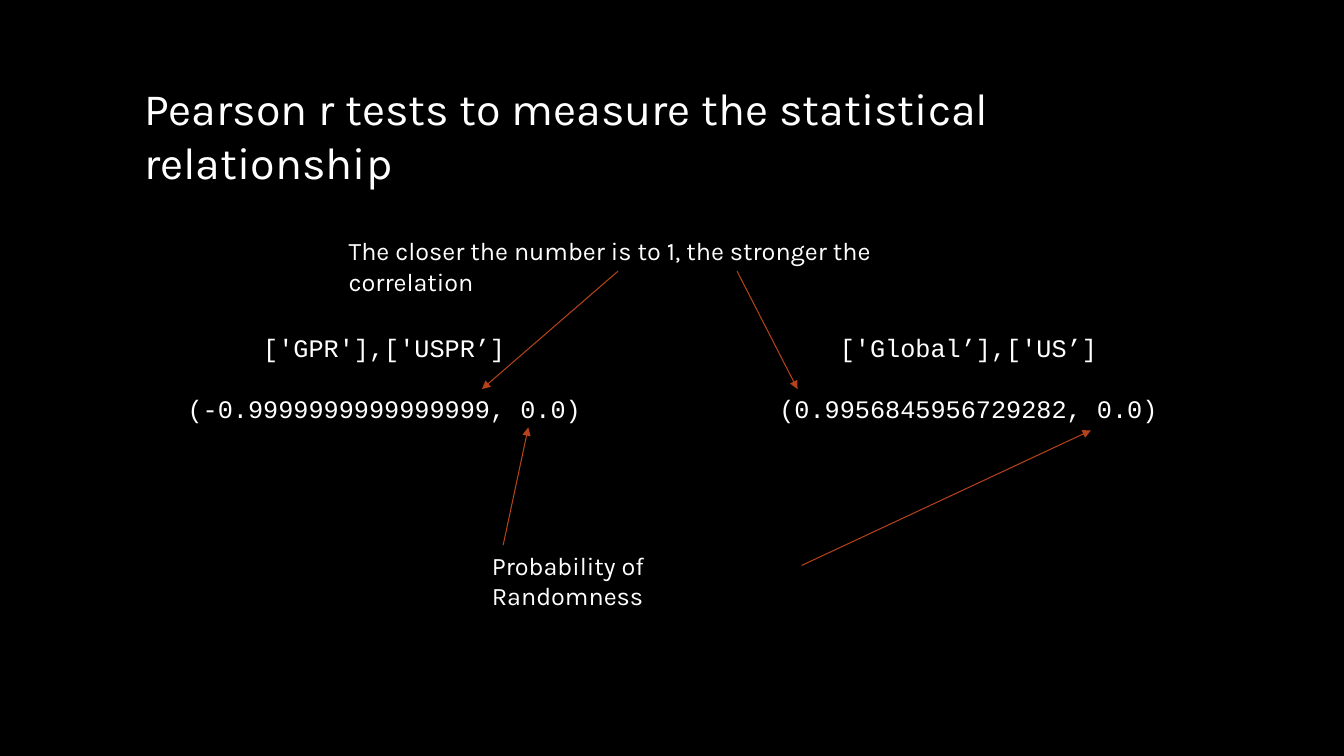
from pptx import Presentation
from pptx.dml.color import RGBColor
from pptx.enum.shapes import MSO_CONNECTOR
from pptx.enum.text import MSO_ANCHOR, MSO_AUTO_SIZE, PP_ALIGN
from pptx.oxml.ns import qn
from pptx.util import Inches, Pt
from lxml.etree import SubElement

BLACK = RGBColor(0x00, 0x00, 0x00)
WHITE = RGBColor(0xFF, 0xFF, 0xFF)
RUST = RGBColor(0xB4, 0x42, 0x1A)

FRAME_FORMAT = {
    "word_wrap": True,
    "auto_size": MSO_AUTO_SIZE.NONE,
    "vertical_anchor": MSO_ANCHOR.TOP,
}
TITLE_FONT = {"name": "Karla", "size": Pt(32)}
NOTE_FONT = {"name": "Karla", "size": Pt(18)}
RESULT_FONT = {"name": "Courier New", "size": Pt(18)}

TITLE = "Pearson r tests to measure the statistical relationship"
TITLE_BOX = (1.33, 0.75, 10.68, 0.64)

RESULTS = [
    ((1.75, 3.25, 4.12, 1.01), "['GPR'],['USPR’]", "(-0.9999999999999999, 0.0)"),
    ((7.62, 3.25, 3.97, 1.01), "['Global’],['US’]", "(0.9956845956729282, 0.0)"),
]
NOTES = [
    ((3.36, 2.29, 6.61, 0.4), "The closer the number is to 1, the stronger the correlation"),
    ((4.78, 5.41, 3.17, 0.4), "Probability of Randomness"),
]
ARROWS = [
    ((6.13, 2.69), (4.78, 3.86)),
    ((7.31, 2.69), (7.91, 3.86)),
    ((4.99, 5.41), (5.24, 4.24)),
    ((7.95, 5.61), (10.82, 4.27)),
]


def apply_format(target, values):
    for name, value in values.items():
        setattr(target, name, value)


def write_paragraph(paragraph, text, font_format, alignment=PP_ALIGN.LEFT):
    paragraph.alignment = alignment
    run = paragraph.add_run()
    run.text = text
    apply_format(run.font, font_format)
    run.font.color.rgb = WHITE


def add_title(slide, box):
    title = slide.shapes.title
    for name, length in zip(("left", "top", "width", "height"), box):
        setattr(title, name, Inches(length))
    apply_format(title.text_frame, FRAME_FORMAT)
    write_paragraph(title.text_frame.paragraphs[0], TITLE, TITLE_FONT)


def add_text_frame(slide, box):
    text_frame = slide.shapes.add_textbox(*map(Inches, box)).text_frame
    apply_format(text_frame, FRAME_FORMAT)
    return text_frame


def add_result(slide, box, variables, values):
    text_frame = add_text_frame(slide, box)
    write_paragraph(text_frame.paragraphs[0], variables, RESULT_FONT, PP_ALIGN.CENTER)
    paragraph = text_frame.add_paragraph()
    paragraph.space_before = Pt(22)
    write_paragraph(paragraph, values, RESULT_FONT, PP_ALIGN.CENTER)


def add_note(slide, box, text):
    text_frame = add_text_frame(slide, box)
    write_paragraph(text_frame.paragraphs[0], text, NOTE_FONT)


def add_arrow(slide, start, end):
    arrow = slide.shapes.add_connector(MSO_CONNECTOR.STRAIGHT, *map(Inches, start + end))
    arrow.line.color.rgb = RUST
    arrow.line.width = Pt(0.75)
    SubElement(arrow.line._get_or_add_ln(), qn("a:tailEnd"), type="triangle")
    SubElement(arrow._element.spPr, qn("a:effectLst"))


def main():
    presentation = Presentation()
    presentation.slide_width = Inches(13.33)
    presentation.slide_height = Inches(7.5)
    slide = presentation.slides.add_slide(presentation.slide_layouts.get_by_name("Title Only"))
    background = slide.background.fill
    background.solid()
    background.fore_color.rgb = BLACK
    add_title(slide, TITLE_BOX)
    for box, variables, values in RESULTS:
        add_result(slide, box, variables, values)
    for box, text in NOTES:
        add_note(slide, box, text)
    for start, end in ARROWS:
        add_arrow(slide, start, end)
    presentation.save("out.pptx")


if __name__ == "__main__":
    main()
